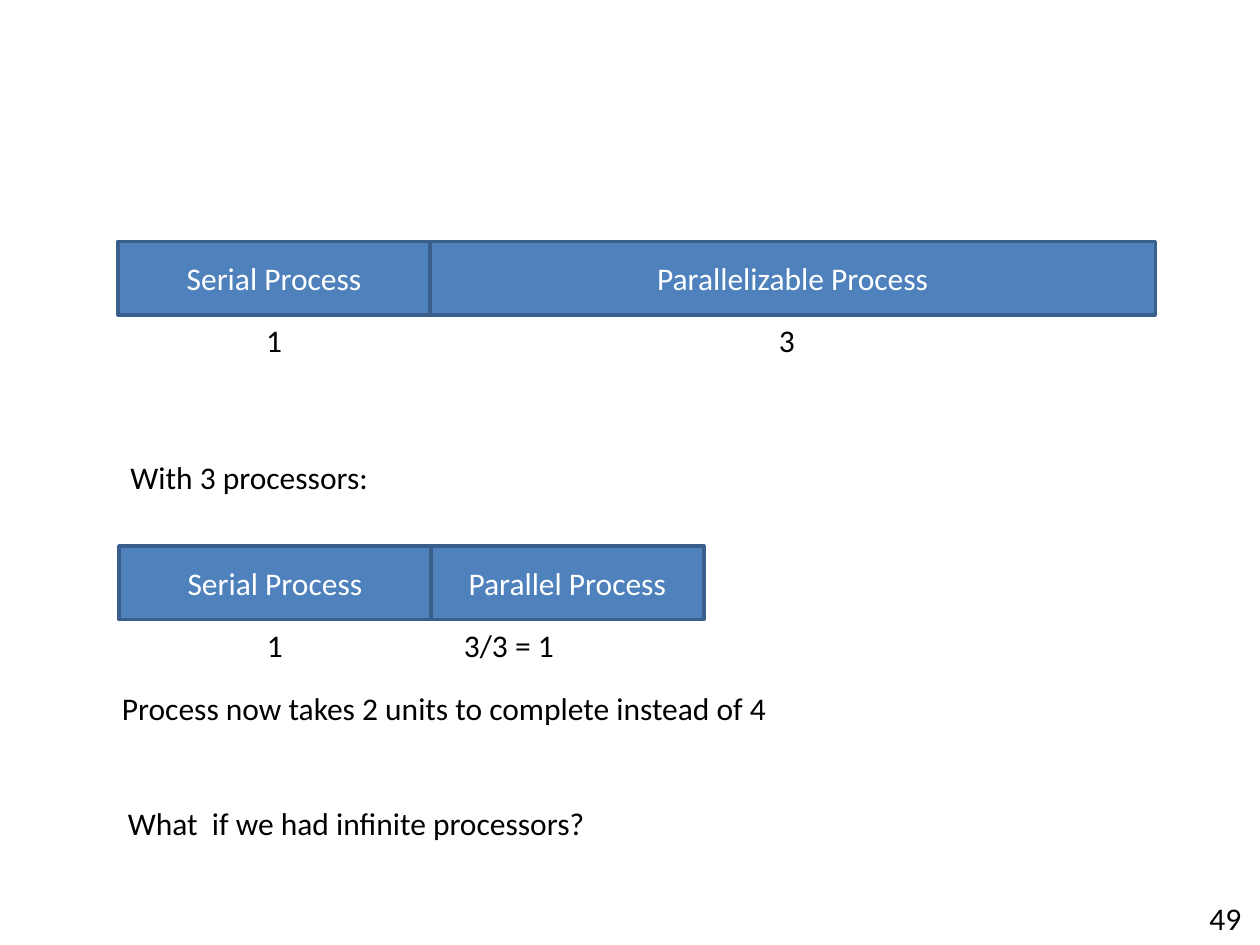
from dataclasses import dataclass
from typing import Any

from pptx import Presentation
from pptx import util as u
from pptx.dml.color import RGBColor
from pptx.enum import shapes, text


def color(hex_code):
    return RGBColor.from_string(hex_code)


@dataclass
class Sketch:
    """Draws process bars and labels in one style on the current slide."""
    slide: Any
    font: str = "Calibri"
    size: float = 18
    fill: str = "4F81BD"
    outline: str = "3A5F8C"
    bar_height: float = 42
    label_height: float = 29

    def add_wording(self, frame, wording, ink):
        run = frame.paragraphs[0].add_run()
        run.text = wording
        run.font.name = self.font
        run.font.size = u.Pt(self.size)
        run.font.color.rgb = color(ink)

    def process(self, left, top, width, wording):
        bar = self.slide.shapes.add_shape(
            shapes.MSO_SHAPE.RECTANGLE,
            u.Pt(left), u.Pt(top), u.Pt(width), u.Pt(self.bar_height))
        bar.shadow.inherit = False
        bar.fill.solid()
        bar.fill.fore_color.rgb = color(self.fill)
        bar.line.color.rgb = color(self.outline)
        bar.line.width = u.Pt(2)
        frame = bar.text_frame
        frame.vertical_anchor = text.MSO_ANCHOR.MIDDLE
        frame.paragraphs[0].alignment = text.PP_ALIGN.CENTER
        self.add_wording(frame, wording, "FFFFFF")

    def label(self, left, top, width, wording):
        box = self.slide.shapes.add_textbox(
            u.Pt(left), u.Pt(top), u.Pt(width), u.Pt(self.label_height))
        frame = box.text_frame
        frame.word_wrap = False
        frame.auto_size = text.MSO_AUTO_SIZE.SHAPE_TO_FIT_TEXT
        self.add_wording(frame, wording, "000000")

    def timeline(self, left, top, stages):
        for wording, width, cost, cost_left, cost_width in stages:
            self.process(left, top, width, wording)
            self.label(cost_left, top + self.bar_height, cost_width, cost)
            left += width


def main():
    deck = Presentation()
    deck.slide_width, deck.slide_height = u.Pt(720), u.Pt(540)
    sketch = Sketch(deck.slides.add_slide(deck.slide_layouts[6]))

    sketch.timeline(67.5, 138, [
        ("Serial Process", 178.2, "1", 145, 23.6),
        ("Parallelizable Process", 414.5, "3", 438, 23.6),
    ])
    sketch.label(67.5, 258, 152, "With 3 processors:")
    sketch.timeline(68, 312, [
        ("Serial Process", 178.2, "1", 145.4, 23.6),
        ("Parallel Process", 156, "3/3 = 1", 258, 67),
    ])
    sketch.label(62.6, 390, 387.4, "Process now takes 2 units to complete instead of 4")
    sketch.label(66, 456, 279, "What  if we had infinite processors?")
    sketch.label(684, 510, 33, "49")

    deck.save("out.pptx")


if __name__ == "__main__":
    main()
